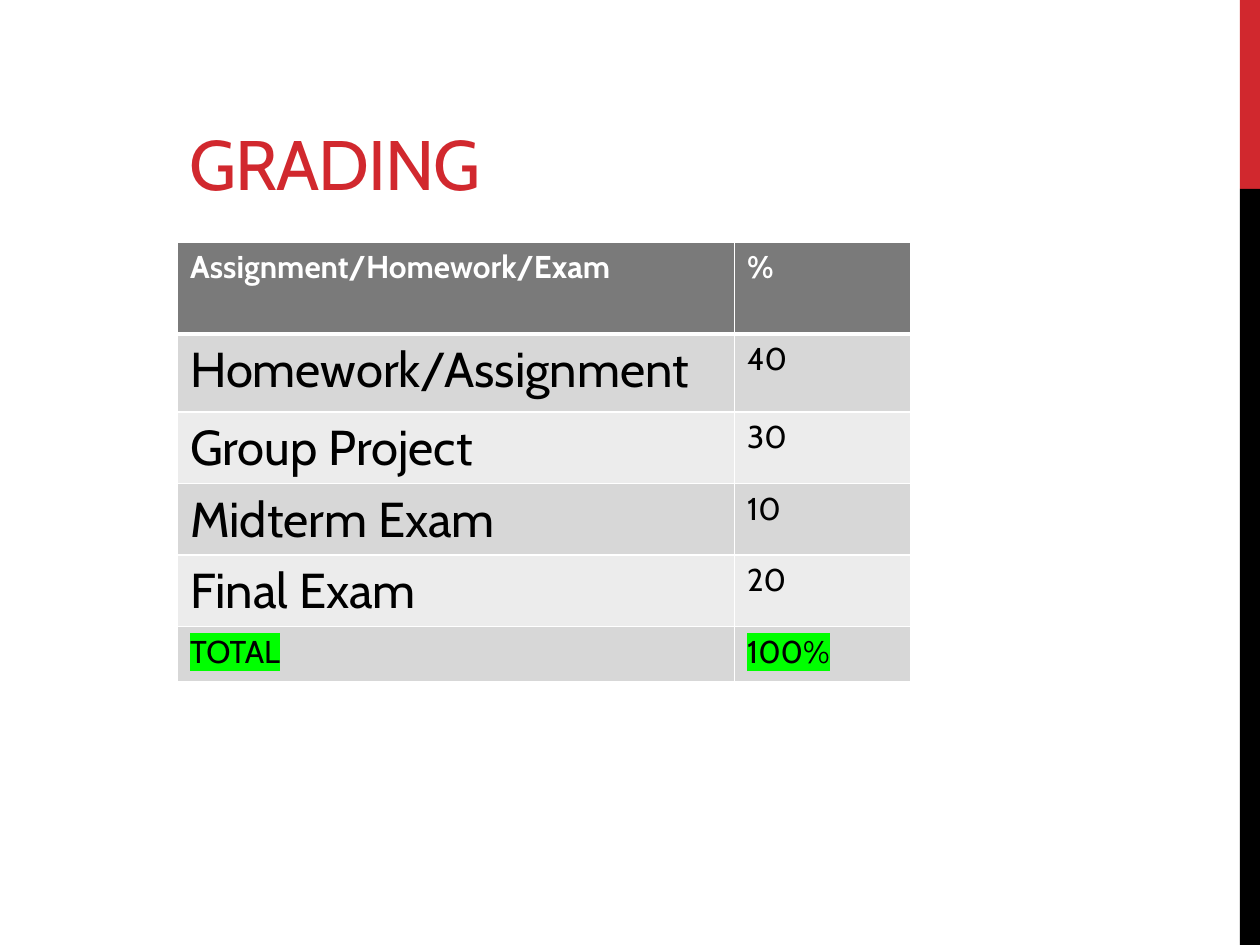
import pptx
import pptx.dml.color
import pptx.enum.shapes
import pptx.enum.text
import pptx.oxml.ns
import pptx.util
from lxml import etree
from pptx.util import Inches

RGBColor = pptx.dml.color.RGBColor
RED = RGBColor(0xD1, 0x28, 0x2E)
BLACK = RGBColor(0, 0, 0)
WHITE = RGBColor(0xFF, 0xFF, 0xFF)
HEADER = RGBColor(0x7A, 0x7A, 0x7A)
BANDS = [RGBColor(0xD7, 0xD7, 0xD7), RGBColor(0xEC, 0xEC, 0xEC)]
HIGHLIGHT = RGBColor(0, 0xFF, 0)
FONT = "Cabin"

GRADES = [
    ("Assignment/Homework/Exam", "%"),
    ("Homework/Assignment", "40"),
    ("Group Project", "30"),
    ("Midterm Exam", "10"),
    ("Final Exam", "20"),
    ("TOTAL", "100%"),
]
COL_WIDTHS = [4.42, 1.4]
ROW_HEIGHTS = [0.73, 0.62, 0.54, 0.54, 0.44, 0.44]


def add_color(parent, tag, color):
    el = etree.SubElement(parent, pptx.oxml.ns.qn(tag))
    etree.SubElement(el, pptx.oxml.ns.qn("a:srgbClr"), val=str(color))
    return el


def style_run(r, size, color, bold=False):
    r.font.size = pptx.util.Pt(size)
    r.font.bold = bold
    r.font.name = FONT
    r.font.color.rgb = color


def highlight_run(r):
    rPr = r.font._element
    el = add_color(rPr, "a:highlight", HIGHLIGHT)
    rPr.find(pptx.oxml.ns.qn("a:solidFill")).addnext(el)


def set_borders(cell, bottom):
    """White lines on all four sides; they come before the fill in the XML."""
    tcPr = cell._tc.get_or_add_tcPr()
    widths = {"a:lnL": 1, "a:lnR": 1, "a:lnT": 1, "a:lnB": bottom}
    for i, (tag, width) in enumerate(widths.items()):
        ln = etree.Element(pptx.oxml.ns.qn(tag), w=str(pptx.util.Pt(width)))
        add_color(ln, "a:solidFill", WHITE)
        tcPr.insert(i, ln)


def add_side_bar(slide, x, y, w, h):
    # Red top fifth, black below
    split = h / 5
    for top, height, color in [(y, split, RED), (y + split, h - split, BLACK)]:
        sp = slide.shapes.add_shape(
            pptx.enum.shapes.MSO_SHAPE.RECTANGLE,
            Inches(x), Inches(top), Inches(w), Inches(height))
        sp.shadow.inherit = False
        sp.fill.solid()
        sp.fill.fore_color.rgb = color
        sp.line.fill.background()


def add_title(slide, x, y, w, h):
    tf = slide.shapes.add_textbox(
        Inches(x), Inches(y), Inches(w), Inches(h)).text_frame
    tf.word_wrap = True
    tf.vertical_anchor = pptx.enum.text.MSO_ANCHOR.BOTTOM
    tf.text = "GRADING"
    r = tf.paragraphs[0].runs[0]
    style_run(r, 40, RED)
    r.font._element.set("spc", "-60")


def add_grade_table(slide, x, y, w, h):
    table = slide.shapes.add_table(
        len(GRADES), len(COL_WIDTHS),
        Inches(x), Inches(y), Inches(w), Inches(h)).table
    for col, width in zip(table.columns, COL_WIDTHS):
        col.width = Inches(width)
    for row, height in zip(table.rows, ROW_HEIGHTS):
        row.height = Inches(height)

    last = len(GRADES) - 1
    for i, texts in enumerate(GRADES):
        header = i == 0
        for j, text in enumerate(texts):
            cell = table.cell(i, j)
            cell.fill.solid()
            cell.fill.fore_color.rgb = HEADER if header else BANDS[(i - 1) % 2]
            set_borders(cell, bottom=3 if header else 1)
            cell.text = text
            r = cell.text_frame.paragraphs[0].runs[0]
            # Names of the graded items are larger than the rest
            size = 28 if j == 0 and 0 < i < last else 18
            style_run(r, size, WHITE if header else BLACK, bold=header)
            if i == last:
                highlight_run(r)


def main():
    prs = pptx.Presentation()
    prs.slide_width, prs.slide_height = Inches(10), Inches(7.5)
    slide = prs.slides.add_slide(prs.slide_layouts[6])
    add_side_bar(slide, 9.84, 0, 0.16, 7.5)
    add_title(slide, 1.41, 0.17, 5.43, 1.5)
    add_grade_table(slide, 1.41, 1.92, sum(COL_WIDTHS), sum(ROW_HEIGHTS))
    prs.save("out.pptx")


if __name__ == "__main__":
    main()
